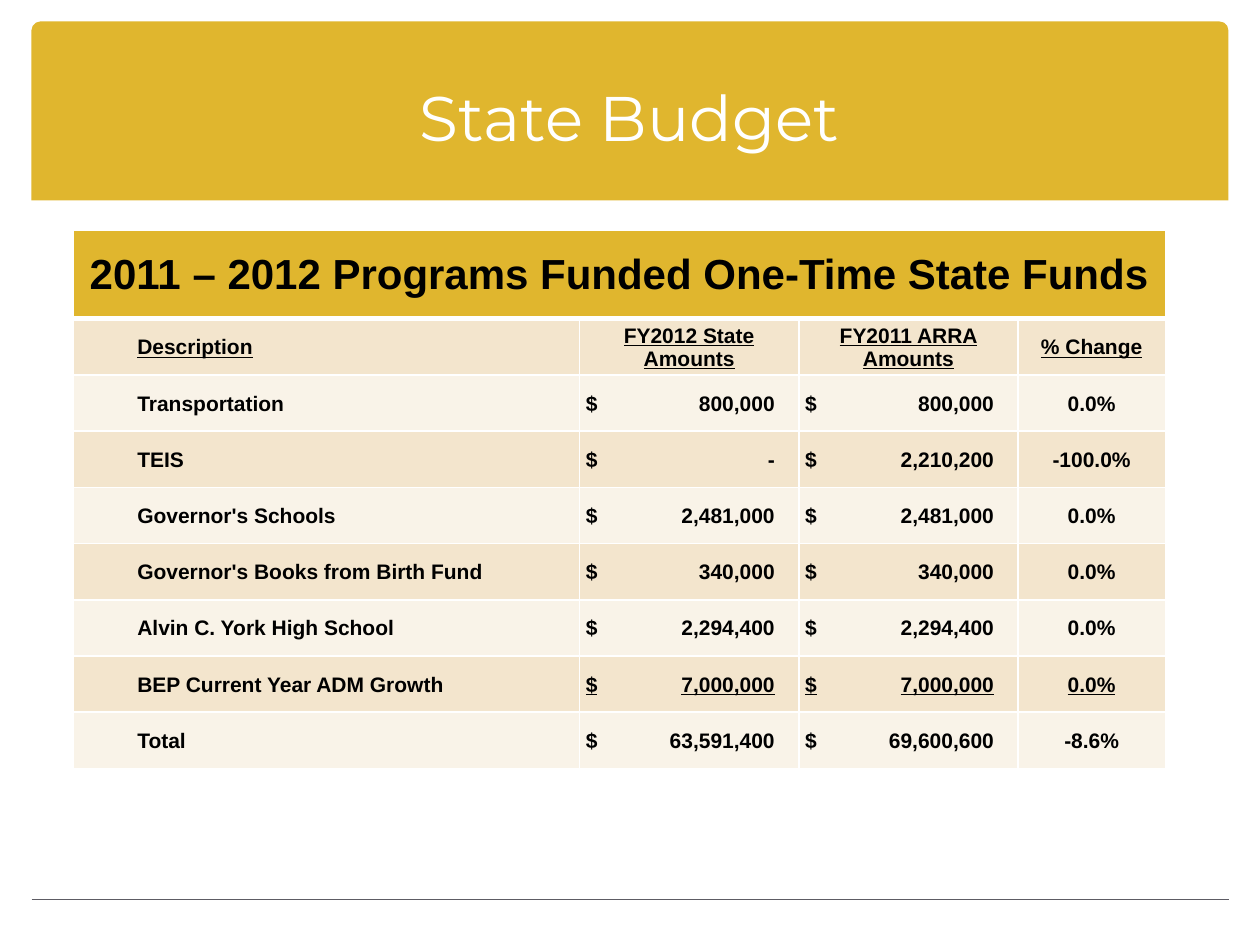
from lxml.etree import SubElement
from pptx import Presentation
from pptx.dml.color import RGBColor
from pptx.enum.shapes import MSO_CONNECTOR as Connector, MSO_SHAPE as Shape
from pptx.enum.text import MSO_ANCHOR as Anchor, PP_ALIGN as Align
from pptx.oxml.ns import qn
from pptx.util import Inches, Pt

COLORS = {"gold": "E0B62E", "sand": "F3E5CD", "cream": "F9F3E8",
          "white": "FFFFFF", "black": "000000", "rule": "5D5C64"}
TITLE = "State Budget"
CAPTION = "2011 – 2012 Programs Funded One-Time State Funds"
HEADINGS = ("Description", "FY2012 State Amounts", "FY2011 ARRA Amounts", "% Change")
PROGRAMS = [
    ("Transportation", "800,000", "800,000", "0.0%"),
    ("TEIS", "-", "2,210,200", "-100.0%"),
    ("Governor's Schools", "2,481,000", "2,481,000", "0.0%"),
    ("Governor's Books from Birth Fund", "340,000", "340,000", "0.0%"),
    ("Alvin C. York High School", "2,294,400", "2,294,400", "0.0%"),
    ("BEP Current Year ADM Growth", "7,000,000", "7,000,000", "0.0%"),
    ("Total", "63,591,400", "69,600,600", "-8.6%"),
]
COLUMN_WIDTHS = (4.02, 1.74, 1.74, 1.17)
TABLE_LEFT, TABLE_TOP, TABLE_HEIGHT, CAPTION_HEIGHT = 0.58, 1.83, 4.27, 0.7
AMOUNT_COLUMNS = (1, 2)
AMOUNT_TAB = 1.5
TITLE_FONT = {"name": "Montserrat", "size": Pt(36), "bold": False}
CAPTION_FONT = {"name": "Arial", "size": Pt(24), "bold": True}
BODY_FONT = {"name": "Arial", "size": Pt(12), "bold": True}
CELL_FORMAT = {"vertical_anchor": Anchor.MIDDLE, "margin_left": Inches(0.01),
               "margin_right": Inches(0.01), "margin_top": Inches(0.01), "margin_bottom": 0}


def rgb(name):
    return RGBColor.from_string(COLORS[name])


def apply(target, values):
    for attribute, value in values.items():
        setattr(target, attribute, value)


def write(frame, text, font, color, align, underline=False):
    paragraph = frame.paragraphs[0]
    paragraph.alignment = align
    run = paragraph.add_run()
    run.text = text
    apply(run.font, {**font, "underline": underline})
    run.font.color.rgb = rgb(color)
    return paragraph


def add_borders(cell, widths):
    properties = cell._tc.get_or_add_tcPr()
    for side, width in zip(("lnL", "lnR", "lnT", "lnB"), widths):
        line = SubElement(properties, qn(f"a:{side}"), w=str(Pt(width)))
        fill = SubElement(line, qn("a:solidFill"))
        SubElement(fill, qn("a:srgbClr"), val=COLORS["white"])


def style_cell(cell, color, widths=(1, 1, 1, 1)):
    add_borders(cell, widths)
    apply(cell, CELL_FORMAT)
    cell.fill.solid()
    cell.fill.fore_color.rgb = rgb(color)


def add_band(slide):
    band = slide.shapes.add_shape(Shape.ROUND_2_SAME_RECTANGLE, Inches(0.25),
                                  Inches(0.17), Inches(9.5), Inches(1.42))
    band.adjustments[0] = 0.05
    band.shadow.inherit = False
    band.fill.solid()
    band.fill.fore_color.rgb = rgb("gold")
    band.line.fill.background()
    slide.shapes._spTree.insert(2, band._element)


def add_title(slide):
    title = slide.shapes.title
    apply(title, {"left": Inches(0.33), "top": Inches(0.3),
                  "width": Inches(9.33), "height": Inches(1.25)})
    title.text_frame.vertical_anchor = Anchor.MIDDLE
    write(title.text_frame, TITLE, TITLE_FONT, "white", Align.CENTER)


def add_rule(slide):
    rule = slide.shapes.add_connector(Connector.STRAIGHT, Inches(0.25), Inches(7.14),
                                      Inches(9.75), Inches(7.14))
    rule.line.color.rgb = rgb("rule")
    rule.line.width = Pt(1)
    SubElement(rule._element.spPr, qn("a:effectLst"))


def fill_row(table, row, values):
    heading = row == 1
    before_total = row == len(PROGRAMS)
    for column, value in enumerate(values):
        cell = table.cell(row, column)
        style_cell(cell, "sand" if row % 2 else "cream", (1, 1, 3 if heading else 1, 1))
        amount = column in AMOUNT_COLUMNS and not heading
        align = Align.LEFT if column == 0 or amount else Align.CENTER
        paragraph = write(cell.text_frame, f"$\t{value}" if amount else value, BODY_FONT,
                          "black", align, heading or (before_total and column > 0))
        properties = paragraph._p.get_or_add_pPr()
        if column == 0:
            paragraph.level = 1
            apply_indent = {"marL": Inches(0.5), "indent": 0}
            for attribute, length in apply_indent.items():
                properties.set(attribute, str(length))
        if amount:
            cell.margin_left = Inches(0.05)
            tabs = SubElement(properties, qn("a:tabLst"))
            SubElement(tabs, qn("a:tab"), pos=str(Inches(AMOUNT_TAB)), algn="r")


def add_budget(slide):
    rows = [HEADINGS, *PROGRAMS]
    table = slide.shapes.add_table(
        len(rows) + 1, len(HEADINGS), Inches(TABLE_LEFT), Inches(TABLE_TOP),
        Inches(sum(COLUMN_WIDTHS)), Inches(TABLE_HEIGHT)).table
    for column, width in zip(table.columns, COLUMN_WIDTHS):
        column.width = Inches(width)
    row_height = (TABLE_HEIGHT - CAPTION_HEIGHT) / len(rows)
    for index, row in enumerate(table.rows):
        row.height = Inches(row_height if index else CAPTION_HEIGHT)
    for cell in table.rows[0].cells:
        style_cell(cell, "gold", (1, 1, 1, 3))
    caption = table.cell(0, 0)
    caption.merge(table.cell(0, len(HEADINGS) - 1))
    write(caption.text_frame, CAPTION, CAPTION_FONT, "black", Align.CENTER)
    for row, values in enumerate(rows, start=1):
        fill_row(table, row, values)


def main():
    """Build the state budget slide with its table of one-time funds."""
    deck = Presentation()
    apply(deck, {"slide_width": Inches(10), "slide_height": Inches(7.5)})
    slide = deck.slides.add_slide(deck.slide_layouts[5])
    for add_part in (add_band, add_title, add_rule, add_budget):
        add_part(slide)
    deck.save("out.pptx")


if __name__ == "__main__":
    main()
